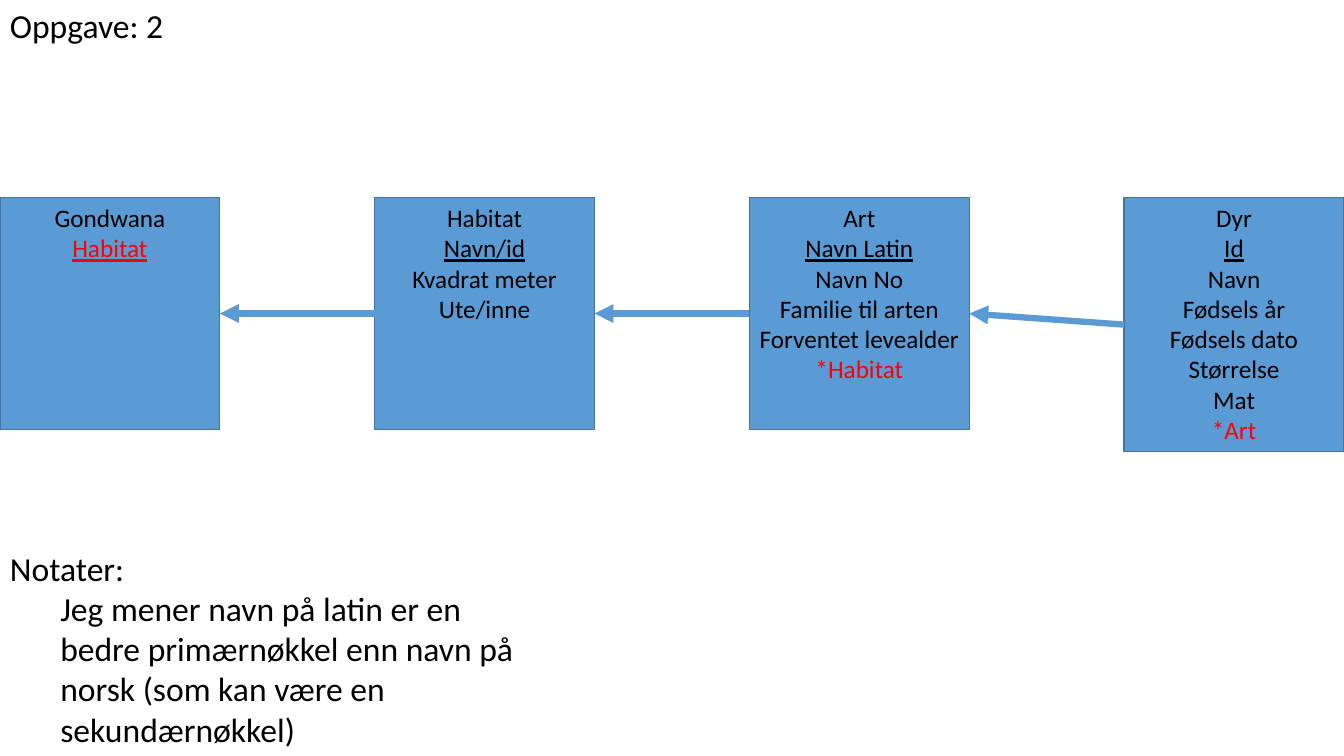
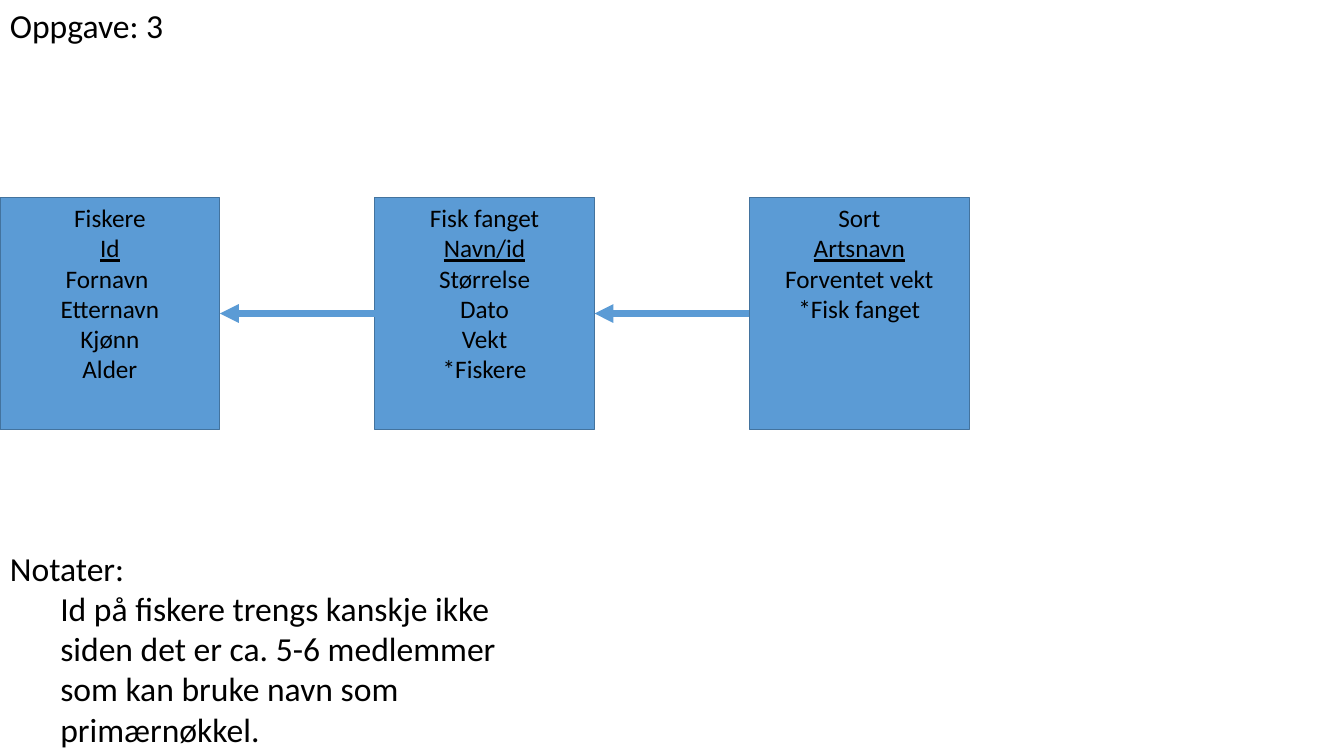
from dataclasses import dataclass

import pptx
import pptx.dml.color
import pptx.enum.shapes
import pptx.enum.text
import pptx.oxml
import pptx.oxml.ns
import pptx.util

Cm = pptx.util.Cm
Pt = pptx.util.Pt

# Shared style
HUES = {"fill": "5B9BD5", "edge": "43739E", "text": "000000", "ref": "FF0000"}
FONT = "Calibri"
WIDE, HIGH = 33.87, 19.05
BOX_W, BOX_H, TOP = 5.54, 5.84, 4.98
SLOTS = 4
STEP = (WIDE - BOX_W) / (SLOTS - 1)
TEXT_W, HEAD_H, NOTE_H = 13.82, 1.27, 5.38


@dataclass(frozen=True)
class Row:
    text: str
    key: bool = False
    hue: str = "text"


@dataclass(frozen=True)
class Table:
    rows: tuple[Row, ...]
    high: float = BOX_H


@dataclass(frozen=True)
class Page:
    title: str
    tables: tuple[Table, ...]
    note: str


def color(name: str) -> pptx.dml.color.RGBColor:
    return pptx.dml.color.RGBColor.from_string(HUES[name])


def style(para, size: int, hue: str = "text") -> None:
    para.font.name = FONT
    para.font.size = Pt(size)
    para.font.color.rgb = color(hue)


def add_box(slide, slot: int, table: Table):
    """Draw one entity with its fields; keys are underlined."""
    box = slide.shapes.add_shape(
        pptx.enum.shapes.MSO_SHAPE.RECTANGLE,
        Cm(slot * STEP), Cm(TOP), Cm(BOX_W), Cm(table.high))
    box.shadow.inherit = False
    box.fill.solid()
    box.fill.fore_color.rgb = color("fill")
    box.line.color.rgb = color("edge")
    box.line.width = Pt(1)
    frame = box.text_frame
    frame.word_wrap = True
    frame.vertical_anchor = pptx.enum.text.MSO_ANCHOR.TOP
    for i, row in enumerate(table.rows):
        para = frame.add_paragraph() if i else frame.paragraphs[0]
        para.text = row.text
        para.alignment = pptx.enum.text.PP_ALIGN.CENTER
        style(para, 18, row.hue)
        para.font.underline = row.key
    return box


def add_link(slide, start, end) -> None:
    """Point from the left side of start to the right side of end."""
    link = slide.shapes.add_connector(
        pptx.enum.shapes.MSO_CONNECTOR.STRAIGHT, 0, 0, 0, 0)
    link.begin_connect(start, 1)
    link.end_connect(end, 3)
    link.line.color.rgb = color("fill")
    link.line.width = Pt(4.5)
    qn = pptx.oxml.ns.qn
    tip = link.line._get_or_add_ln().makeelement(
        qn("a:tailEnd"), {"type": "triangle"})
    link.line._get_or_add_ln().append(tip)
    props = link._element.spPr
    props.append(props.makeelement(qn("a:effectLst"), {}))


def add_text(slide, top: float, high: float, lines: tuple[str, ...]) -> None:
    """Write a heading line, with any further lines indented."""
    box = slide.shapes.add_textbox(0, Cm(top), Cm(TEXT_W), Cm(high))
    frame = box.text_frame
    frame.word_wrap = True
    for i, line in enumerate(lines):
        para = frame.add_paragraph() if i else frame.paragraphs[0]
        para.text = line
        style(para, 24)
        if i:
            para.level = 1
            para._p.get_or_add_pPr().set("marL", str(Cm(1.27)))


def add_page(deck, page: Page) -> None:
    slide = deck.slides.add_slide(deck.slide_layouts[6])
    boxes = [add_box(slide, i, t) for i, t in enumerate(page.tables)]
    for end, start in zip(boxes, boxes[1:]):
        add_link(slide, start, end)
    add_text(slide, 0, HEAD_H, (page.title,))
    add_text(slide, HIGH - NOTE_H, NOTE_H, ("Notater: ", page.note))


# Content
PAGES = (
    Page("Oppgave: 2", (
        Table((Row("Gondwana"), Row("Habitat", True, "ref"))),
        Table((Row("Habitat"), Row("Navn/id", True),
               Row("Kvadrat meter"), Row("Ute/inne"))),
        Table((Row("Art"), Row("Navn Latin", True), Row("Navn No"),
               Row("Familie til arten"), Row("Forventet levealder"),
               Row("*Habitat", hue="ref"))),
        Table((Row("Dyr"), Row("Id", True), Row("Navn"),
               Row("Fødsels år"), Row("Fødsels dato"), Row("Størrelse"),
               Row("Mat"), Row("*Art", hue="ref")), 6.4),
    ), "Jeg mener navn på latin er en bedre primærnøkkel enn navn på "
       "norsk (som kan være en sekundærnøkkel)"),
    Page("Oppgave: 3", (
        Table((Row("Fiskere"), Row("Id", True), Row("Fornavn "),
               Row("Etternavn"), Row("Kjønn"), Row("Alder"))),
        Table((Row("Fisk fanget"), Row("Navn/id", True), Row("Størrelse"),
               Row("Dato"), Row("Vekt"), Row("*Fiskere"))),
        Table((Row("Sort"), Row("Artsnavn", True),
               Row("Forventet vekt"), Row("*Fisk fanget"))),
    ), "Id på fiskere trengs kanskje ikke siden det er ca. 5-6 medlemmer "
       "som kan bruke navn som primærnøkkel. "),
)

# Build
deck = pptx.Presentation()
deck.slide_width, deck.slide_height = Cm(WIDE), Cm(HIGH)
for page in PAGES:
    add_page(deck, page)
deck.save("out.pptx")
